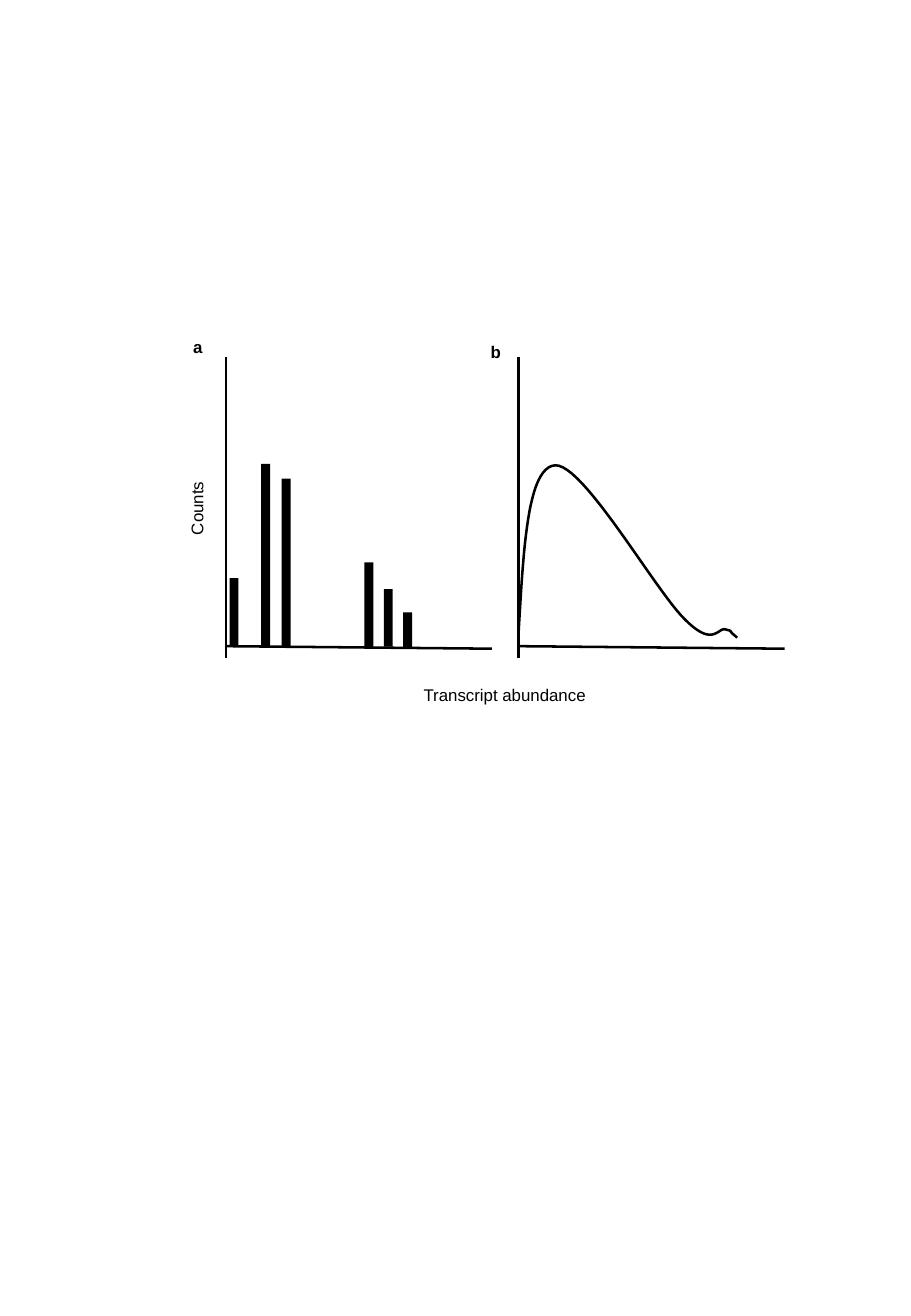
"""Draw two panels of transcript abundance counts: bars and a smooth curve."""
from pptx import Presentation
from pptx.dml.color import RGBColor
from pptx.enum.shapes import MSO_CONNECTOR, MSO_SHAPE
from pptx.enum.text import MSO_AUTO_SIZE, PP_ALIGN
from pptx.oxml.ns import qn
from pptx.util import Pt
from lxml import etree

STRAIGHT = MSO_CONNECTOR.STRAIGHT
RECT = MSO_SHAPE.RECTANGLE
FIT = MSO_AUTO_SIZE.SHAPE_TO_FIT_TEXT
LEFT, CENTER = PP_ALIGN.LEFT, PP_ALIGN.CENTER
BLACK = "000000"
BASE = 383.4
BARS = [(136.1, 342.7), (154.8, 275), (167, 283.7),
        (216, 333.4), (227.5, 349.2), (239, 362.9)]
START = (307.4, 375.8)
CURVE = [
    [(310.3, 326.2), (312.5, 277.2), (329, 275.8)],
    [(345.6, 274.3), (388.8, 350.6), (406.1, 367.2)],
    [(422.6, 383.8), (425.5, 372.2), (429.8, 373)],
    [(434.9, 374.4), (432, 373.7), (433.4, 374.4)],
    [(433.4, 375.1), (435.6, 376.6), (437, 378)],
]


def color(code):
    """Turn a hex string into a colour."""
    return RGBColor.from_string(code)


def stroke(shape):
    """Give a shape the common black outline."""
    shape.line.color.rgb = color(BLACK)
    shape.line.width = Pt(1.5)


def add_line(slide, x1, y1, x2, y2):
    """Draw a straight line without a shadow."""
    line = slide.shapes.add_connector(STRAIGHT, Pt(x1), Pt(y1), Pt(x2), Pt(y2))
    stroke(line)
    etree.SubElement(line._element.spPr, qn("a:effectLst"))


def add_axes(slide, x):
    """Draw the two axes of a panel whose vertical axis stands at x."""
    add_line(slide, x, 390.2, x, 211.7)
    add_line(slide, x, 383, x + 157.7, 384.5)


def add_bar(slide, x, top):
    """Draw one solid bar standing on the base."""
    bar = slide.shapes.add_shape(RECT, Pt(x), Pt(top), Pt(5.3), Pt(BASE - top))
    bar.shadow.inherit = False
    bar.fill.solid()
    bar.fill.fore_color.rgb = color(BLACK)
    bar.line.fill.background()


def trace(start, parts, steps=24):
    """List points along a chain of cubic curves."""
    points = []
    for part in parts:
        knots = [start, *part]
        for step in range(1, steps + 1):
            t = step / steps
            u = 1 - t
            weights = (u**3, 3 * u * u * t, 3 * u * t * t, t**3)
            points.append(tuple(
                Pt(sum(w * knot[axis] for w, knot in zip(weights, knots)))
                for axis in (0, 1)))
        start = part[-1]
    return points


def add_curve(slide, start, parts):
    """Draw an open curve without a fill."""
    pen = slide.shapes.build_freeform(Pt(start[0]), Pt(start[1]))
    pen.add_line_segments(trace(start, parts), close=False)
    curve = pen.convert_to_shape()
    curve.shadow.inherit = False
    curve.fill.background()
    stroke(curve)


def add_label(slide, text, x, y, width, align=LEFT, bold=False, turn=0):
    """Place a one-line label."""
    box = slide.shapes.add_textbox(Pt(x), Pt(y), Pt(width), Pt(12.2))
    box.rotation = turn
    frame = box.text_frame
    frame.margin_left = frame.margin_right = 0
    frame.margin_top = frame.margin_bottom = 0
    frame.word_wrap = True
    frame.auto_size = FIT
    para = frame.paragraphs[0]
    para.text = text
    para.alignment = align
    font = para.font
    font.name, font.size, font.bold = "Arial", Pt(10), bold
    font.color.rgb = color(BLACK)


def main():
    """Build and save the slide."""
    deck = Presentation()
    deck.slide_width, deck.slide_height = Pt(540), Pt(780)
    slide = deck.slides.add_slide(deck.slide_layouts[6])
    for x in (133.9, START[0]):
        add_axes(slide, x)
    for x, top in BARS:
        add_bar(slide, x, top)
    add_curve(slide, START, CURVE)
    add_label(slide, "Transcript abundance", 188.6, 406.1, 221, CENTER)
    add_label(slide, "Counts", 65.5, 295.2, 102.2, CENTER, turn=270)
    add_label(slide, "a", 114.5, 199.4, 16.6, bold=True)
    add_label(slide, "b", 290.9, 202.3, 16.6, bold=True)
    deck.save("out.pptx")


if __name__ == "__main__":
    main()
